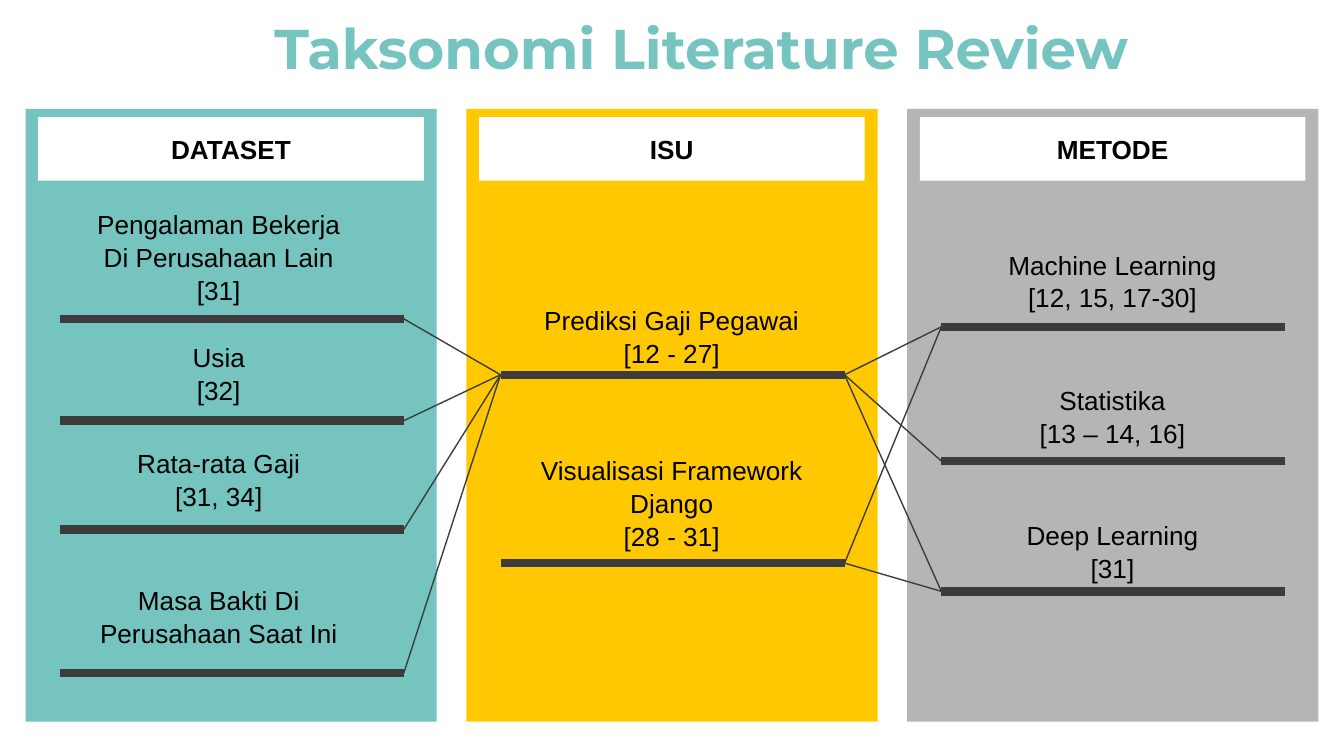
from lxml import etree
from pptx import Presentation
from pptx.dml.color import RGBColor
from pptx.enum.shapes import MSO_CONNECTOR, MSO_SHAPE
from pptx.enum.text import MSO_ANCHOR, PP_ALIGN
from pptx.oxml.ns import qn
from pptx.util import Pt

RECT, STRAIGHT = MSO_SHAPE.RECTANGLE, MSO_CONNECTOR.STRAIGHT
TOP, MIDDLE, CENTER = MSO_ANCHOR.TOP, MSO_ANCHOR.MIDDLE, PP_ALIGN.CENTER

THEME = {
    "teal": RGBColor.from_string("75C4C0"),
    "yellow": RGBColor.from_string("FFC800"),
    "gray": RGBColor.from_string("B5B5B5"),
    "white": RGBColor.from_string("FFFFFF"),
    "black": RGBColor.from_string("000000"),
    "dark": RGBColor.from_string("3C3C3C"),
    "title": {"name": "Montserrat", "size": Pt(30), "bold": True},
    "header": {"name": "Arial", "size": Pt(14), "bold": True},
    "item": {"name": "Arial", "size": Pt(14), "bold": False},
    "bar": Pt(4.5),
    "link": Pt(0.75),
}

COL_LEFT, COL_STEP, COL_TOP, COL_W, COL_H = 13.7, 236.15, 58.4, 220.3, 328.2
HEAD_INSET, HEAD_TOP, HEAD_W, HEAD_H = 6.8, 62.8, 206.6, 34
ITEM_W, ITEM_H = 161, 44
BAR_INSET, BAR_W = 18.3, 184.3

# heading, fill, text inset, items as (lines, text top, bar height)
COLUMNS = [
    ("DATASET", "teal", 23, [
        (["Pengalaman Bekerja Di Perusahaan Lain", "[31]"], 115.2, 170.8),
        (["Usia", "[32]"], 177.8, 225.4),
        (["Rata-rata Gaji", "[31, 34]"], 234.7, 283.7),
        (["Masa Bakti Di Perusahaan Saat Ini"], 307.8, 360.7),
    ]),
    ("ISU", "yellow", 29.5, [
        (["Prediksi Gaji Pegawai", "[12 - 27]"], 157.8, 200.8),
        (["Visualisasi Framework Django", "[28 - 31]"], 247, 301.7),
    ]),
    ("METODE", "gray", 29.5, [
        (["Machine Learning", "[12, 15, 17-30]"], 128.2, 175.1),
        (["Statistika", "[13 – 14, 16]"], 200.9, 247),
        (["Deep Learning", "[31]"], 272.9, 316.8),
    ]),
]

# (column, item) pairs joined from a bar's right end to a bar's left end
LINKS = [((0, i), (1, 0)) for i in range(4)]
LINKS += [((1, 0), (2, i)) for i in range(3)]
LINKS += [((1, 1), (2, i)) for i in (0, 2)]


def write(sp, lines, style, color, anchor=MIDDLE, spacing=1.0):
    """Fill a shape with centred paragraphs in one theme style."""
    tf = sp.text_frame
    tf.word_wrap = True
    tf.vertical_anchor = anchor
    for i, line in enumerate(lines):
        p = tf.paragraphs[0] if i == 0 else tf.add_paragraph()
        p.alignment = CENTER
        p.line_spacing = spacing
        r = p.add_run()
        r.text = line
        for key, value in THEME[style].items():
            setattr(r.font, key, value)
        r.font.color.rgb = THEME[color]


def draw_line(start, end, weight):
    ln = s.shapes.add_connector(STRAIGHT, *map(Pt, start + end))
    ln.line.color.rgb = THEME["dark"]
    ln.line.width = THEME[weight]
    etree.SubElement(ln._element.spPr, qn("a:effectLst"))


prs = Presentation()
prs.slide_width, prs.slide_height = Pt(720), Pt(405)
s = prs.slides.add_slide(prs.slide_layouts[6])

title = s.shapes.add_textbox(Pt(71.3), Pt(0), Pt(609), Pt(45.4))
for side in ("left", "top", "right", "bottom"):
    setattr(title.text_frame, f"margin_{side}", Pt(7.2))
write(title, ["Taksonomi Literature Review"], "title", "teal", TOP)

bars = {}
for c, (heading, fill, text_inset, items) in enumerate(COLUMNS):
    left = COL_LEFT + c * COL_STEP
    panel = s.shapes.add_shape(RECT, Pt(left), Pt(COL_TOP), Pt(COL_W), Pt(COL_H))
    header = s.shapes.add_shape(RECT, Pt(left + HEAD_INSET), Pt(HEAD_TOP), Pt(HEAD_W), Pt(HEAD_H))
    for sp, color in ((panel, fill), (header, "white")):
        sp.shadow.inherit = False
        sp.fill.solid()
        sp.fill.fore_color.rgb = THEME[color]
        sp.line.fill.background()
    write(header, [heading], "header", "black")

    for i, (lines, top, bar_y) in enumerate(items):
        label = s.shapes.add_textbox(Pt(left + text_inset), Pt(top), Pt(ITEM_W), Pt(ITEM_H))
        write(label, lines, "item", "black", spacing=1.05)
        bar_left = left + BAR_INSET
        bars[c, i] = (bar_left, bar_y), (bar_left + BAR_W, bar_y)
        draw_line(*bars[c, i], "bar")

for source, target in LINKS:
    draw_line(bars[source][1], bars[target][0], "link")

prs.save("out.pptx")
